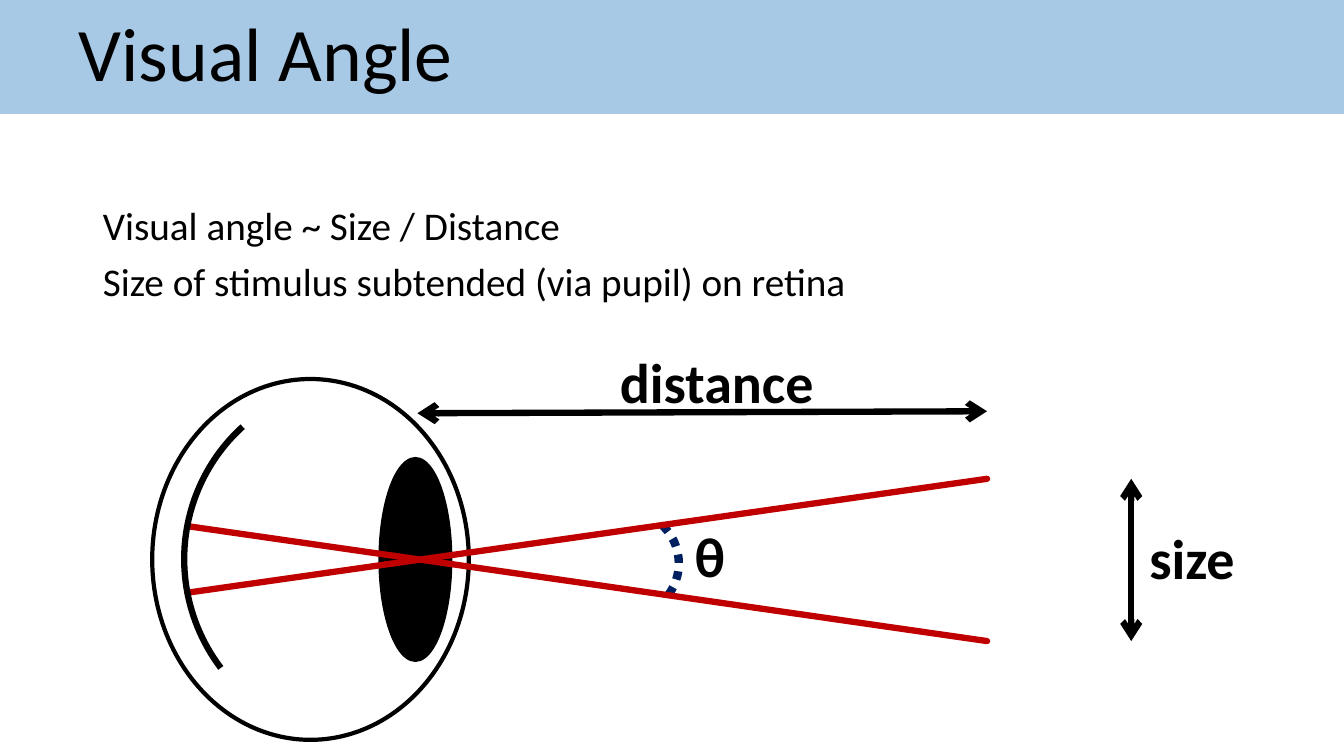
"""Build the Visual Angle slide with its diagram of an eye viewing a stimulus."""
from dataclasses import dataclass

from lxml import etree
from pptx import Presentation
from pptx import util as u
from pptx.dml.color import RGBColor
from pptx.enum import dml, shapes, text
from pptx.oxml.ns import qn


@dataclass(frozen=True)
class Theme:
    font: str = "Calibri"
    ink: str = "000000"
    banner: str = "5094CE"
    banner_alpha: int = 50000
    ray: str = "C00000"
    angle: str = "002060"
    title_size: int = 54
    body_size: int = 28
    label_size: int = 40
    stroke: float = 4.5


@dataclass(frozen=True)
class Curve:
    kind: shapes.MSO_SHAPE
    left: float
    top: float
    width: float
    height: float
    weight: float
    color: str = "000000"
    rotation: float = 0
    filled: bool = False
    dotted: bool = False


@dataclass(frozen=True)
class Segment:
    start: tuple[float, float]
    end: tuple[float, float]
    color: str
    arrows: bool = False


@dataclass(frozen=True)
class Label:
    words: str
    left: float
    top: float
    width: float


THEME = Theme()
ARC_ANGLES = (162, 212.94)
LABEL_HEIGHT = 0.57
STIMULUS_X, STIMULUS_TOP, STIMULUS_BOTTOM = 9.79, 4.75, 6.36
RETINA_X, SIZE_X = 1.86, 11.22
ARC, OVAL = shapes.MSO_SHAPE.ARC, shapes.MSO_SHAPE.OVAL

ANGLE_ARC = Curve(ARC, 5.69, 5.07, 1.04, 1.05, 6, THEME.angle, 43.3, dotted=True)
EYEBALL = Curve(OVAL, 1.51, 3.76, 3.14, 3.58, 3)
PUPIL = Curve(OVAL, 3.76, 4.54, 0.72, 2.02, 1, filled=True)
RETINA = Curve(ARC, 1.82, 3.78, 3.57, 3.55, THEME.stroke, rotation=232.9)
RAYS = (
    Segment((STIMULUS_X, STIMULUS_TOP), (RETINA_X, 5.88), THEME.ray),
    Segment((STIMULUS_X, STIMULUS_BOTTOM), (RETINA_X, 5.22), THEME.ray),
)
MEASURES = (
    Segment((SIZE_X, STIMULUS_TOP), (SIZE_X, STIMULUS_BOTTOM), THEME.ink, True),
    Segment((STIMULUS_X, 4.08), (4.14, 4.1), THEME.ink, True),
)
LABELS = (
    Label("θ", 6.79, 5.2, 0.64),
    Label("distance", 6.05, 3.47, 2.18),
    Label("size", 11.3, 5.22, 1.12),
)


def rgb(color: str) -> RGBColor:
    return RGBColor.from_string(color)


def place(shape, left: float, top: float, width: float, height: float) -> None:
    shape.left, shape.top = u.Inches(left), u.Inches(top)
    shape.width, shape.height = u.Inches(width), u.Inches(height)


def write(shape, *lines: str, size: int, bold: bool = False, inset: float = 0.1,
          anchor=text.MSO_ANCHOR.TOP) -> None:
    frame = shape.text_frame
    frame.word_wrap = True
    frame.auto_size = text.MSO_AUTO_SIZE.NONE
    frame.vertical_anchor = anchor
    frame.margin_left = u.Inches(inset)
    for index, line in enumerate(lines):
        para = frame.add_paragraph() if index else frame.paragraphs[0]
        properties = para._p.get_or_add_pPr()
        properties.set("marL", "0")
        properties.set("indent", "0")
        etree.SubElement(properties, qn("a:buNone"))
        para.alignment = text.PP_ALIGN.LEFT
        para.line_spacing = 0.9
        para.space_before = u.Pt(10 if index else 0)
        span = para.add_run()
        span.text = line
        span.font.name = THEME.font
        span.font.size = u.Pt(size)
        span.font.bold = bold
        span.font.color.rgb = rgb(THEME.ink)


def draw_curve(page, curve: Curve) -> None:
    shape = page.shapes.add_shape(
        curve.kind, u.Inches(curve.left), u.Inches(curve.top),
        u.Inches(curve.width), u.Inches(curve.height))
    shape.shadow.inherit = False
    shape.rotation = curve.rotation
    if curve.kind == ARC:
        shape.adjustments[0], shape.adjustments[1] = ARC_ANGLES
    if curve.filled:
        shape.fill.solid()
        shape.fill.fore_color.rgb = rgb(curve.color)
    else:
        shape.fill.background()
    shape.line.color.rgb = rgb(curve.color)
    shape.line.width = u.Pt(curve.weight)
    if curve.dotted:
        shape.line.dash_style = dml.MSO_LINE.ROUND_DOT


def draw_segment(page, segment: Segment) -> None:
    line = page.shapes.add_connector(
        shapes.MSO_CONNECTOR.STRAIGHT,
        *map(u.Inches, segment.start), *map(u.Inches, segment.end))
    line.line.color.rgb = rgb(segment.color)
    line.line.width = u.Pt(THEME.stroke)
    outline = line.line._get_or_add_ln()
    if segment.arrows:
        for end in ("a:headEnd", "a:tailEnd"):
            etree.SubElement(outline, qn(end), type="arrow")
    else:
        outline.set("cap", "rnd")
    etree.SubElement(line._element.spPr, qn("a:effectLst"))


def draw_label(page, label: Label) -> None:
    box = page.shapes.add_textbox(0, 0, 0, 0)
    place(box, label.left, label.top, label.width, LABEL_HEIGHT)
    write(box, label.words, size=THEME.label_size, bold=True)


def fill_placeholders(page) -> None:
    title, body = page.shapes.title, page.placeholders[1]
    place(title, 0, 0, 13.33, 1.13)
    title.fill.solid()
    title.fill.fore_color.rgb = rgb(THEME.banner)
    tint = title._element.spPr.find(".//" + qn("a:srgbClr"))
    etree.SubElement(tint, qn("a:alpha"), val=str(THEME.banner_alpha))
    write(title, "Visual Angle", size=THEME.title_size, inset=0.78,
          anchor=text.MSO_ANCHOR.MIDDLE)
    place(body, 0.92, 2, 11.5, 1.09)
    write(body, "Visual angle ~ Size / Distance",
          "Size of stimulus subtended (via pupil) on retina", size=THEME.body_size)


def main() -> None:
    deck = Presentation()
    deck.slide_width, deck.slide_height = u.Inches(13.33), u.Inches(7.5)
    page = deck.slides.add_slide(deck.slide_layouts[1])
    fill_placeholders(page)
    for curve in (ANGLE_ARC, EYEBALL, PUPIL):
        draw_curve(page, curve)
    for ray in RAYS:
        draw_segment(page, ray)
    draw_curve(page, RETINA)
    for measure in MEASURES:
        draw_segment(page, measure)
    for label in LABELS:
        draw_label(page, label)
    deck.save("out.pptx")


if __name__ == "__main__":
    main()
